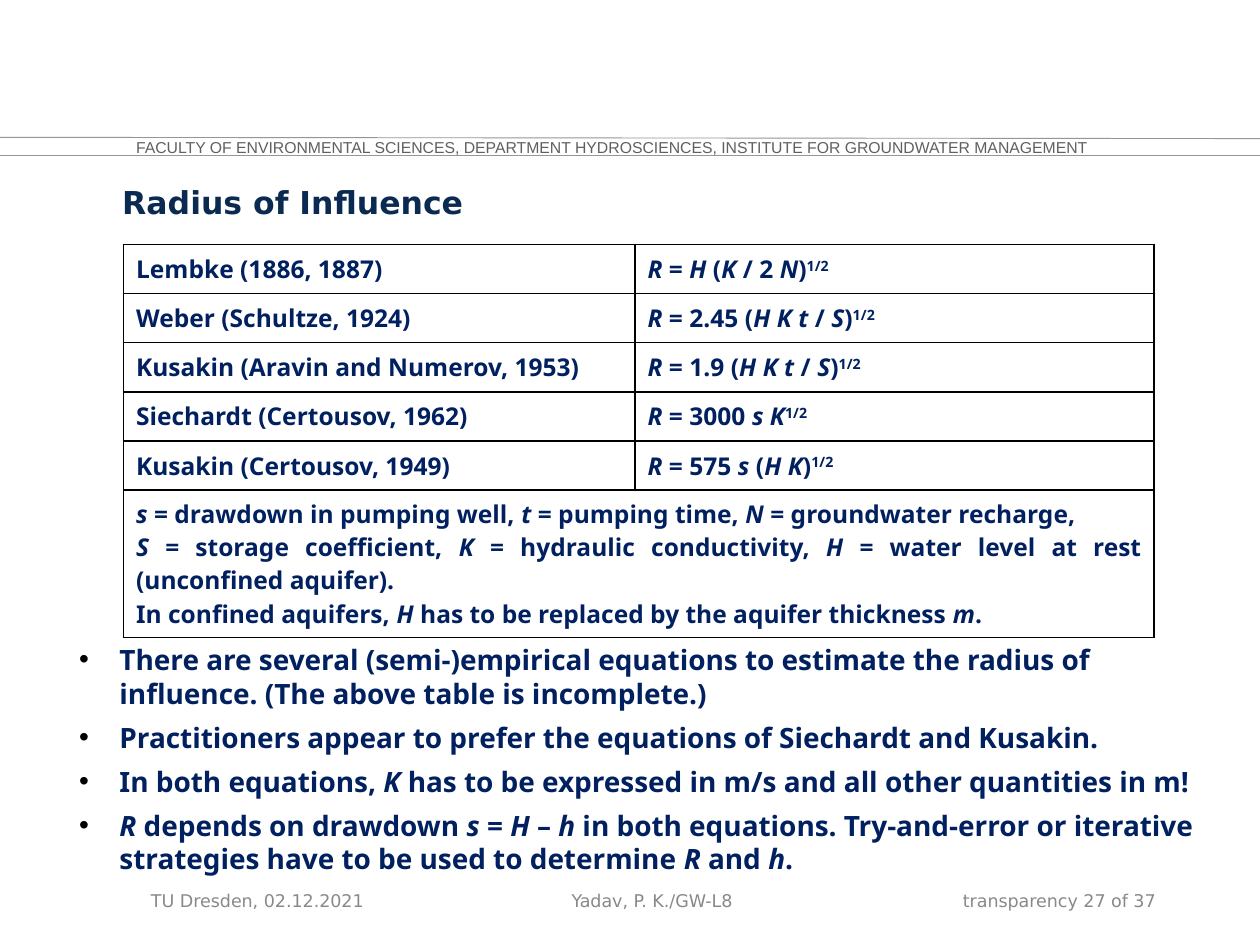
import pptx
import pptx.util
import pptx.dml.color
import pptx.enum.shapes
import pptx.enum.text
import pptx.oxml
import pptx.oxml.ns
from lxml import etree

Inches = pptx.util.Inches
Pt = pptx.util.Pt
RGBColor = pptx.dml.color.RGBColor
ALIGN = pptx.enum.text.PP_ALIGN
ANCHOR = pptx.enum.text.MSO_ANCHOR
qn = pptx.oxml.ns.qn

NAVY = RGBColor(0x00, 0x20, 0x60)
TITLE_BLUE = RGBColor(0x0B, 0x2A, 0x51)
RULE_GRAY = RGBColor(0x96, 0x96, 0x96)
HEADER_GRAY = RGBColor(0x60, 0x60, 0x60)
FOOTER_GRAY = RGBColor(0x89, 0x89, 0x89)
BLACK = RGBColor(0, 0, 0)

EQUATION_ROW = 0.39
SYMBOLS_ROW = 1.17

# In the wording below, *...* is italic and ^...^ is superscript.
EQUATIONS = [
    ("Lembke (1886, 1887)", "*R* = *H* (*K* / 2 *N*)^1/2^"),
    ("Weber (Schultze, 1924)", "*R* = 2.45 (*H K t* / *S*)^1/2^"),
    ("Kusakin (Aravin and Numerov, 1953)", "*R* = 1.9 (*H K t* / *S*)^1/2^"),
    ("Siechardt (Certousov, 1962)", "*R* = 3000 *s K*^1/2^"),
    ("Kusakin (Certousov, 1949)", "*R* = 575 *s* (*H K*)^1/2^"),
]
SYMBOLS = [
    "*s* = drawdown in pumping well, *t* = pumping time, *N* = groundwater recharge, ",
    "*S* = storage coefficient, *K* = hydraulic conductivity, "
    "*H* = water level at rest (unconfined aquifer).",
    "In confined aquifers, *H* has to be replaced by the aquifer thickness *m*.",
]
REMARKS = [
    "There are several (semi-)empirical equations to estimate the radius of influence. "
    "(The above table is incomplete.)",
    "Practitioners appear to prefer the equations of Siechardt and Kusakin.",
    "In both equations, *K *has to be expressed in m/s and all other quantities in m!",
    "*R *depends on drawdown *s* = *H* – *h* in both equations. Try-and-error or "
    "iterative strategies have to be used to determine *R *and *h*.",
]


def add_run(paragraph, text, size, font, color, bold=False):
    run = paragraph.add_run()
    run.text = text
    run.font.size = Pt(size)
    run.font.name = font
    run.font.color.rgb = color
    run.font.bold = bold
    return run


def add_formula_text(paragraph, marked, size):
    """Add navy bold runs, reading the italic and superscript marks."""
    for i, italic_part in enumerate(marked.split("*")):
        for j, piece in enumerate(italic_part.split("^")):
            if piece:
                run = add_run(paragraph, piece, size, "Noto Sans", NAVY, True)
                run.font.italic = i % 2 == 1
                if j % 2:
                    run.font._element.set("baseline", "30000")


def fill_paragraphs(frame, marked_lines, size):
    for i, marked in enumerate(marked_lines):
        paragraph = frame.paragraphs[0] if i == 0 else frame.add_paragraph()
        add_formula_text(paragraph, marked, size)


def add_text_box(slide, box, anchor=ANCHOR.TOP):
    frame = slide.shapes.add_textbox(*map(Inches, box)).text_frame
    frame.word_wrap = True
    frame.vertical_anchor = anchor
    return frame


def add_rule(slide, start, end):
    rule = slide.shapes.add_connector(
        pptx.enum.shapes.MSO_CONNECTOR.STRAIGHT, *map(Inches, start + end))
    rule.line.color.rgb = RULE_GRAY
    rule.line.width = Pt(0.5)
    etree.SubElement(rule._element.spPr, qn("a:effectLst"))


def add_header(slide, box):
    # Rules run across the full slide width
    add_rule(slide, (0, 1.23), (10, 1.23))
    add_rule(slide, (0, 1.09), (10, 1.1))
    frame = add_text_box(slide, box, ANCHOR.MIDDLE)
    frame.margin_left = frame.margin_top = 0
    paragraph = frame.paragraphs[0]
    paragraph.space_before = Pt(5.6)
    add_run(paragraph, "FACULTY OF ENVIRONMENTAL SCIENCES, DEPARTMENT HYDROSCIENCES, "
            "INSTITUTE FOR GROUNDWATER MANAGEMENT", 9, "Arial", HEADER_GRAY)


def add_footer(slide, top, height):
    parts = [
        ("TU Dresden, 02.12.2021", 1.1, 2.56, ALIGN.LEFT),
        ("Yadav, P. K./GW-L8", 3.59, 3.17, ALIGN.CENTER),
        ("transparency 27 of 37", 6.94, 2.33, ALIGN.RIGHT),
    ]
    for text, left, width, align in parts:
        frame = add_text_box(slide, (left, top, width, height), ANCHOR.MIDDLE)
        frame.paragraphs[0].alignment = align
        add_run(frame.paragraphs[0], text, 10, "DejaVu Sans", FOOTER_GRAY)


def place_title(slide, box):
    title = slide.shapes.title
    title.left, title.top, title.width, title.height = map(Inches, box)
    frame = title.text_frame
    frame.vertical_anchor = ANCHOR.TOP
    frame.auto_size = pptx.enum.text.MSO_AUTO_SIZE.NONE
    paragraph = frame.paragraphs[0]
    paragraph.alignment = ALIGN.LEFT
    paragraph.line_spacing = 0.9
    paragraph.space_before = Pt(4)
    add_run(paragraph, "Radius of Influence", 18, "DejaVu Sans", TITLE_BLUE, True)


def add_borders(cell):
    properties = cell._tc.get_or_add_tcPr()
    for side in ("lnL", "lnR", "lnT", "lnB"):
        line = etree.SubElement(properties, qn("a:" + side), w=str(Pt(1)))
        fill = etree.SubElement(line, qn("a:solidFill"))
        etree.SubElement(fill, qn("a:srgbClr"), val=str(BLACK))


def add_equation_table(slide, left, top, column_widths):
    heights = [EQUATION_ROW] * len(EQUATIONS) + [SYMBOLS_ROW]
    box = (left, top, sum(column_widths), sum(heights))
    table = slide.shapes.add_table(
        len(heights), len(column_widths), *map(Inches, box)).table
    table.first_row = table.horz_banding = False
    for column, width in zip(table.columns, column_widths):
        column.width = Inches(width)
    for row, height in zip(table.rows, heights):
        row.height = Inches(height)

    # Equations, then the symbols across both columns
    for r, equation in enumerate(EQUATIONS):
        for c, marked in enumerate(equation):
            fill_paragraphs(table.cell(r, c).text_frame, [marked], 14)
    symbols = table.cell(len(EQUATIONS), 0)
    symbols.merge(table.cell(len(EQUATIONS), 1))
    fill_paragraphs(symbols.text_frame, SYMBOLS, 14)

    for cell in table.iter_cells():
        add_borders(cell)
        cell.fill.background()
        cell.vertical_anchor = ANCHOR.MIDDLE
        for paragraph in cell.text_frame.paragraphs:
            paragraph.alignment = ALIGN.JUSTIFY


def add_remarks(slide, box):
    frame = add_text_box(slide, box)
    frame.auto_size = pptx.enum.text.MSO_AUTO_SIZE.SHAPE_TO_FIT_TEXT
    fill_paragraphs(frame, REMARKS, 16)
    for paragraph in frame.paragraphs:
        paragraph.space_after = Pt(6)
        properties = paragraph._p.get_or_add_pPr()
        properties.set("marL", str(Inches(0.32)))
        properties.set("indent", str(-Inches(0.32)))
        color = etree.SubElement(properties, qn("a:buClr"))
        etree.SubElement(color, qn("a:srgbClr"), val=str(BLACK))
        etree.SubElement(properties, qn("a:buFont"), typeface="Arial")
        etree.SubElement(properties, qn("a:buChar"), char="•")


def main():
    deck = pptx.Presentation()
    deck.slide_width, deck.slide_height = Inches(10), Inches(7.5)
    slide = deck.slides.add_slide(deck.slide_layouts.get_by_name("Title Only"))
    add_header(slide, (1.08, 1.11, 8.17, 0.17))
    add_footer(slide, 6.95, 0.4)
    place_title(slide, (0.87, 1.44, 4, 0.39))
    add_equation_table(slide, 0.98, 1.94, (4.06, 4.12))
    add_remarks(slide, (0.53, 5.05, 9.1, 1.97))
    deck.save("out.pptx")


if __name__ == "__main__":
    main()
